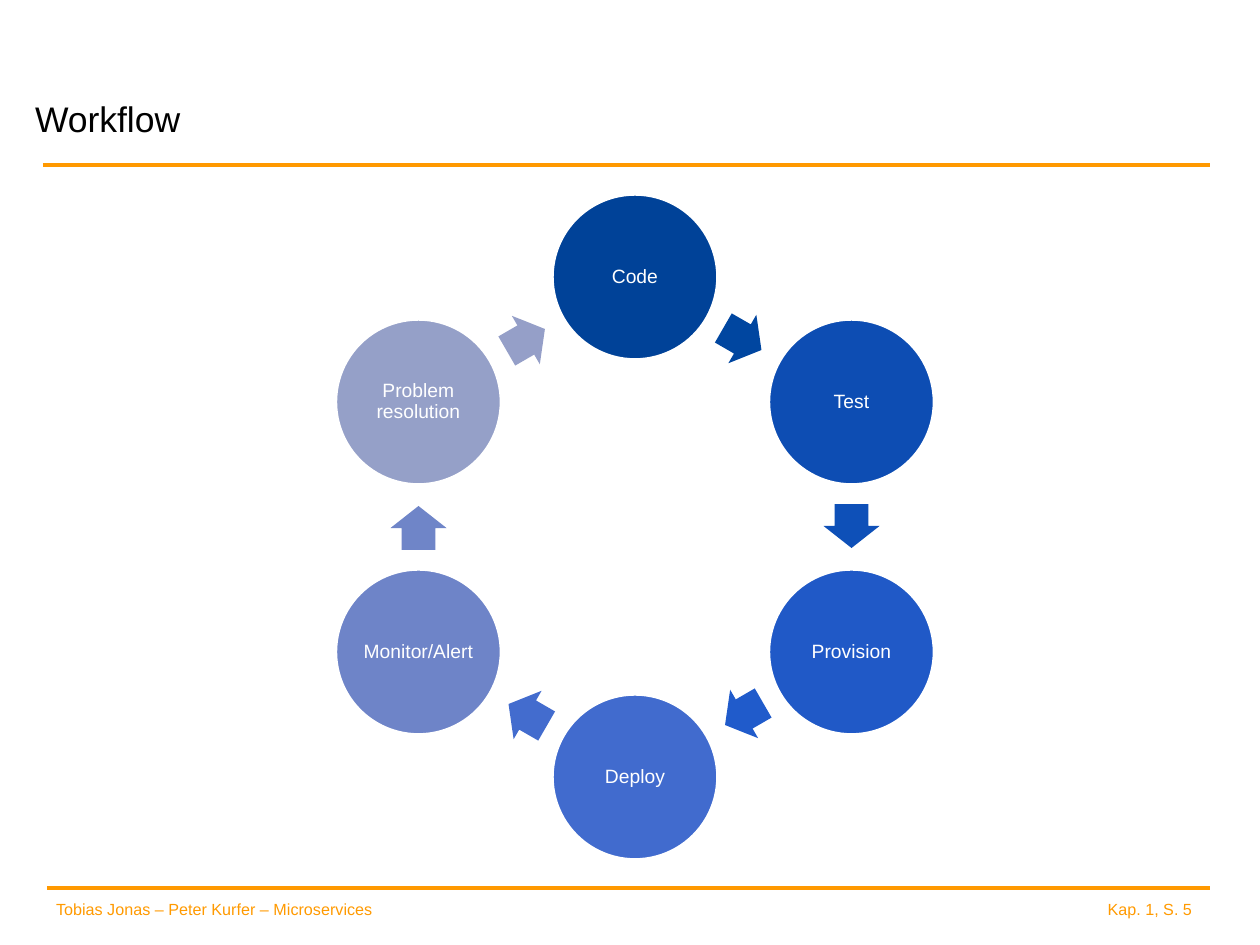
from math import cos, radians, sin

from lxml.etree import SubElement
from pptx import Presentation
from pptx.dml.color import RGBColor
from pptx.enum.shapes import MSO_CONNECTOR as Connector, MSO_SHAPE as Shape
from pptx.enum.text import MSO_ANCHOR as Anchor, PP_ALIGN as Align
from pptx.oxml.ns import qn
from pptx.util import Emu, Pt

SCALE = 914400 / 126
FONT = "Arial"
BLACK = RGBColor(0x00, 0x00, 0x00)
WHITE = RGBColor(0xFF, 0xFF, 0xFF)
RULE_ORANGE = RGBColor(0xFF, 0x99, 0x00)
FOOTER_ORANGE = RGBColor(0xFF, 0x9A, 0x00)

# Step label, circle colour, colour of the arrow to the next step
STEPS = [
    ("Code", RGBColor(0x00, 0x42, 0x98), RGBColor(0x00, 0x46, 0xA0)),
    ("Test", RGBColor(0x0D, 0x4D, 0xB3), RGBColor(0x0E, 0x50, 0xB8)),
    ("Provision", RGBColor(0x20, 0x59, 0xC7), RGBColor(0x20, 0x5B, 0xCB)),
    ("Deploy", RGBColor(0x41, 0x6B, 0xCE), RGBColor(0x43, 0x6C, 0xCE)),
    ("Monitor/Alert", RGBColor(0x6E, 0x84, 0xC8), RGBColor(0x6F, 0x85, 0xC8)),
    ("Problem resolution", RGBColor(0x95, 0xA0, 0xC8), RGBColor(0x95, 0x9F, 0xC8)),
]

# Ring geometry
CENTER_X, CENTER_Y, RADIUS = 635, 527, 250
CIRCLE = 166
ARROW_LENGTH, ARROW_WIDTH = 44, 56
ARROW_SETBACK = 1


def px(value):
    return Emu(round(value * SCALE))


def box(left, top, width, height):
    return px(left), px(top), px(width), px(height)


def write(shape, text, size, color, anchor, align=Align.LEFT, insets=(0, 0, 0, 0)):
    frame = shape.text_frame
    frame.word_wrap = True
    frame.vertical_anchor = anchor
    (frame.margin_left, frame.margin_top,
     frame.margin_right, frame.margin_bottom) = map(px, insets)
    paragraph = frame.paragraphs[0]
    paragraph.alignment = align
    run = paragraph.add_run()
    run.text = text
    run.font.size = Pt(size)
    run.font.name = FONT
    run.font.color.rgb = color
    return paragraph


def add_title(slide, text):
    title = slide.shapes.title
    title.left, title.top, title.width, title.height = box(35, 34, 793, 106)
    write(title, text, 20.3, BLACK, Anchor.BOTTOM)


def add_rule(slide, left, right, y):
    rule = slide.shapes.add_connector(Connector.STRAIGHT, px(left), px(y), px(right), px(y))
    rule.line.color.rgb = RULE_ORANGE
    rule.line.width = Pt(2)
    SubElement(rule._element.spPr, qn("a:effectLst"))


def add_footer(slide, text, left, width, align, right_inset=0):
    footer = slide.shapes.add_textbox(*box(left, 893, width, 33))
    write(footer, text, 9.2, FOOTER_ORANGE, Anchor.TOP, align, (13, 6, right_inset, 6))


def add_centered(slide, kind, x, y, width, height, color):
    shape = slide.shapes.add_shape(kind, *box(x - width / 2, y - height / 2, width, height))
    shape.shadow.inherit = False
    shape.fill.solid()
    shape.fill.fore_color.rgb = color
    return shape


def add_step(slide, x, y, label, color):
    circle = add_centered(slide, Shape.OVAL, x, y, CIRCLE, CIRCLE, color)
    circle.line.color.rgb = WHITE
    circle.line.width = Pt(2)
    paragraph = write(circle, label, 11, WHITE, Anchor.MIDDLE, Align.CENTER, (2, 2, 2, 2))
    paragraph.line_spacing = 0.9


def add_arrow(slide, x, y, rotation, color):
    arrow = add_centered(slide, Shape.RIGHT_ARROW, x, y, ARROW_LENGTH, ARROW_WIDTH, color)
    arrow.line.fill.background()
    arrow.adjustments[0] = 0.6
    arrow.adjustments[1] = 0.5
    arrow.rotation = rotation


def add_cycle(slide, steps):
    turn = 360 / len(steps)
    middle = RADIUS * cos(radians(turn / 2))
    for index, (label, circle_color, arrow_color) in enumerate(steps):
        angle = radians(index * turn - 90)
        add_step(slide, CENTER_X + RADIUS * cos(angle), CENTER_Y + RADIUS * sin(angle),
                 label, circle_color)
        # The arrow sits halfway to the next step and points along the ring
        rotation = (index + 0.5) * turn
        heading = radians(rotation)
        add_arrow(slide,
                  CENTER_X + middle * sin(heading) - ARROW_SETBACK * cos(heading),
                  CENTER_Y - middle * cos(heading) - ARROW_SETBACK * sin(heading),
                  rotation, arrow_color)


def main():
    presentation = Presentation()
    presentation.slide_width, presentation.slide_height = px(1260), px(945)
    slide = presentation.slides.add_slide(presentation.slide_layouts[5])

    # Frame: footer texts, rules and title
    add_footer(slide, "Kap. 1, S. 5", 1062, 149, Align.RIGHT, right_inset=19)
    add_footer(slide, "Tobias Jonas – Peter Kurfer – Microservices", 43, 513, Align.LEFT)
    add_rule(slide, 47, 1210, 888)
    add_rule(slide, 43, 1210, 165)
    add_title(slide, "Workflow")

    # Workflow ring
    add_cycle(slide, STEPS)

    presentation.save("out.pptx")


main()
